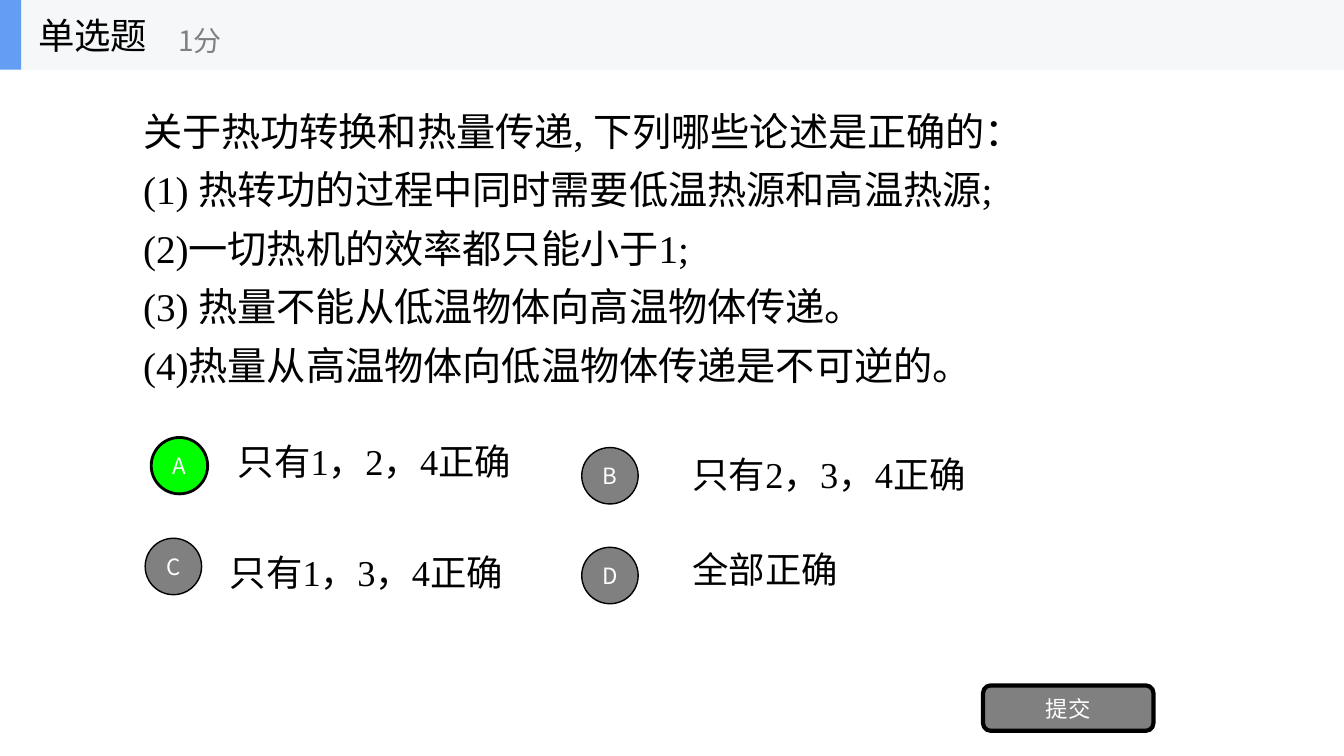
from dataclasses import dataclass

from pptx import Presentation
from pptx.dml.color import RGBColor
from pptx.enum.shapes import MSO_SHAPE
from pptx.enum.text import MSO_ANCHOR, PP_ALIGN
from pptx.shapes.autoshape import Shape
from pptx.slide import Slide
from pptx.util import Inches, Pt


@dataclass(frozen=True)
class Theme:
    sans: str = "Noto Sans CJK SC"
    serif: str = "Times New Roman"
    black: str = "000000"
    white: str = "FFFFFF"
    gray: str = "808080"
    green: str = "00FF00"
    blue: str = "639EF4"
    band: str = "F6F7F8"
    question_size: int = 28
    option_size: int = 26
    score_size: int = 20
    button_size: int = 16


@dataclass(frozen=True)
class Box:
    left: float
    top: float
    width: float
    height: float

    def lengths(self) -> list[int]:
        return [Inches(v) for v in (self.left, self.top, self.width, self.height)]


@dataclass(frozen=True)
class Option:
    letter: str
    answer: str
    badge_at: tuple[float, float]
    answer_at: tuple[float, float]
    chosen: bool = False


THEME = Theme()
BADGE_SIZE = 0.56
QUESTION = (
    "关于热功转换和热量传递, 下列哪些论述是正确的：",
    "(1) 热转功的过程中同时需要低温热源和高温热源;",
    "(2)一切热机的效率都只能小于1;",
    "(3) 热量不能从低温物体向高温物体传递。",
    "(4)热量从高温物体向低温物体传递是不可逆的。",
)
OPTIONS = (
    Option("A", "只有1，2，4正确", (1.5, 4.34), (2.26, 4.31), chosen=True),
    Option("B", "只有2，3，4正确", (5.77, 4.44), (6.77, 4.44)),
    Option("C", "只有1，3，4正确", (1.44, 5.34), (2.18, 5.41)),
    Option("D", "全部正确", (5.77, 5.43), (6.77, 5.38)),
)


def write(shape: Shape, lines: tuple[str, ...], size: int, color: str,
          font_name: str, anchor: MSO_ANCHOR = MSO_ANCHOR.MIDDLE,
          **paragraph_format: object) -> None:
    """Fill the shape with one paragraph per line, all in the same format."""
    frame = shape.text_frame
    frame.word_wrap = True
    frame.vertical_anchor = anchor
    frame.text = "\n".join(lines)
    for paragraph in frame.paragraphs:
        for name, value in paragraph_format.items():
            setattr(paragraph, name, value)
        font = paragraph.runs[0].font
        for name, value in {"size": Pt(size), "name": font_name}.items():
            setattr(font, name, value)
        font.color.rgb = RGBColor.from_string(color)


def add_text(slide: Slide, box: Box, lines: tuple[str, ...], size: int,
             color: str, font_name: str, **text_format: object) -> Shape:
    text_box = slide.shapes.add_textbox(*box.lengths())
    write(text_box, lines, size, color, font_name, **text_format)
    return text_box


def add_filled(slide: Slide, kind: MSO_SHAPE, box: Box, fill: str,
               line_width: float = 0) -> Shape:
    """Add a flat shape, outlined in black when a line width is given."""
    shape = slide.shapes.add_shape(kind, *box.lengths())
    shape.shadow.inherit = False
    shape.fill.solid()
    shape.fill.fore_color.rgb = RGBColor.from_string(fill)
    if line_width:
        shape.line.width = Pt(line_width)
        shape.line.color.rgb = RGBColor.from_string(THEME.black)
    else:
        shape.line.fill.background()
    return shape


def add_button(slide: Slide, kind: MSO_SHAPE, box: Box, label: str, fill: str,
               line_width: float) -> None:
    button = add_filled(slide, kind, box, fill, line_width)
    frame = button.text_frame
    for side in ("left", "right", "top", "bottom"):
        setattr(frame, f"margin_{side}", 0)
    write(button, (label,), THEME.button_size, THEME.white, THEME.sans,
          alignment=PP_ALIGN.CENTER)


def add_header(slide: Slide) -> None:
    add_filled(slide, MSO_SHAPE.RECTANGLE, Box(0, 0, 13.33, 0.69), THEME.band)
    add_filled(slide, MSO_SHAPE.RECTANGLE, Box(0, 0, 0.21, 0.69), THEME.blue)
    add_text(slide, Box(0.28, 0, 2.08, 0.69), ("单选题",),
             THEME.option_size, THEME.black, THEME.sans)
    add_text(slide, Box(1.67, 0.12, 2.5, 0.56), ("1分",),
             THEME.score_size, THEME.gray, THEME.sans)


def add_question(slide: Slide) -> None:
    question = add_text(slide, Box(1.32, 1.24, 10.42, 2.34), QUESTION,
                        THEME.question_size, THEME.black, THEME.serif,
                        line_spacing=1.2)
    for statement in question.text_frame.paragraphs[1:]:
        statement.space_before = Pt(1.4)


def add_option(slide: Slide, option: Option) -> None:
    add_button(slide, MSO_SHAPE.OVAL,
               Box(*option.badge_at, BADGE_SIZE, BADGE_SIZE), option.letter,
               THEME.green if option.chosen else THEME.gray,
               2 if option.chosen else 1)
    add_text(slide, Box(*option.answer_at, 6.67, 0.54), (option.answer,),
             THEME.option_size, THEME.black, THEME.serif,
             anchor=MSO_ANCHOR.TOP)


def main() -> None:
    presentation = Presentation()
    presentation.slide_width = Inches(13.33)
    presentation.slide_height = Inches(7.5)
    slide = presentation.slides.add_slide(presentation.slide_layouts[6])
    add_header(slide)
    add_question(slide)
    for option in OPTIONS:
        add_option(slide, option)
    add_button(slide, MSO_SHAPE.ROUNDED_RECTANGLE, Box(9.75, 6.8, 1.69, 0.45),
               "提交", THEME.gray, 3)
    presentation.save("out.pptx")


if __name__ == "__main__":
    main()
